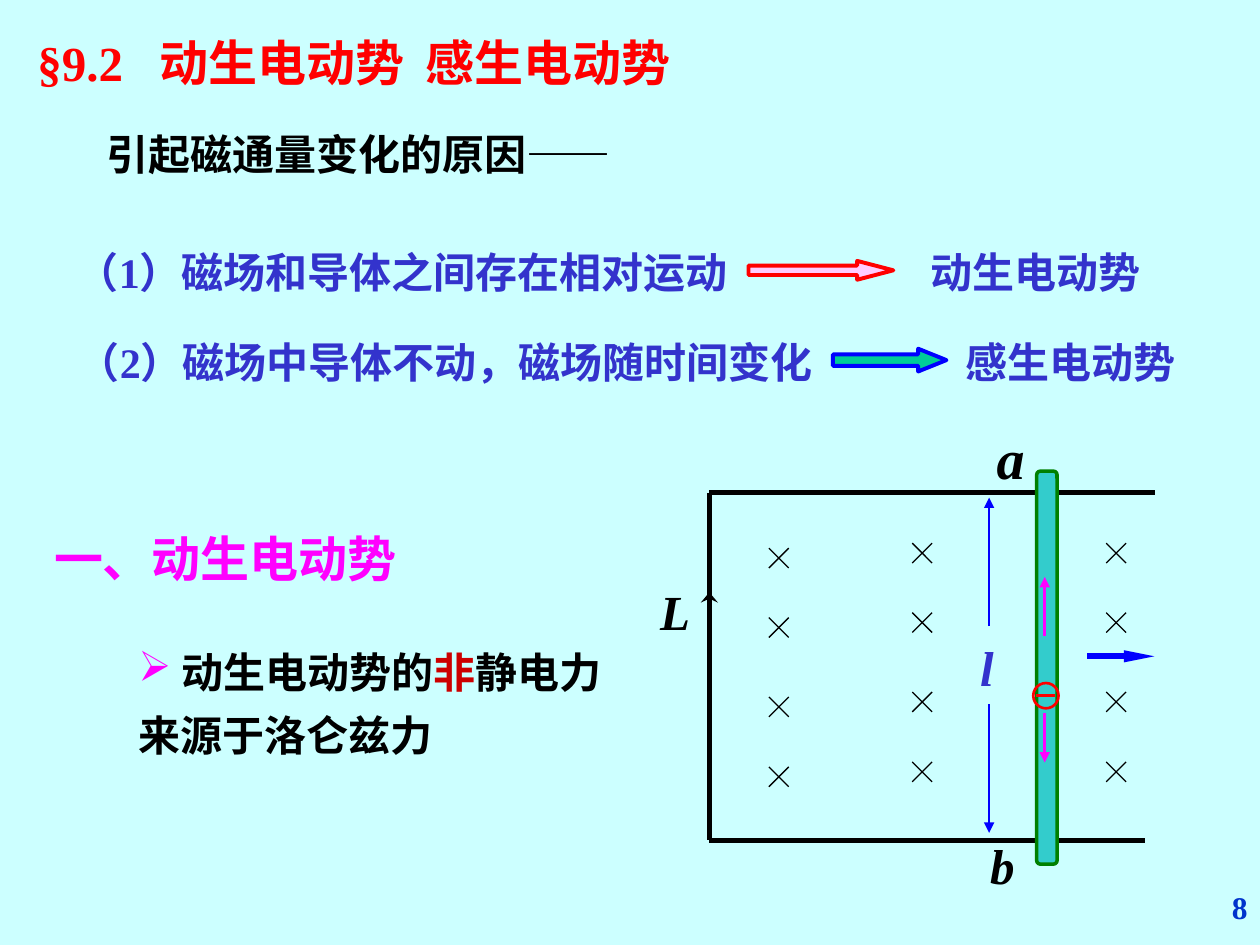
from dataclasses import dataclass

import pptx
import pptx.dml.color
import pptx.enum.shapes
import pptx.enum.text
import pptx.oxml
import pptx.oxml.ns
import pptx.util

Cm, Pt = pptx.util.Cm, pptx.util.Pt
Shape = pptx.enum.shapes.MSO_SHAPE
Align = pptx.enum.text.PP_ALIGN


@dataclass(frozen=True)
class Theme:
    font: str = "Times New Roman"
    dash: str = "Arial"
    back: str = "CCFFFF"
    ink: str = "000000"
    red: str = "FF0000"
    dark: str = "CC0000"
    pink: str = "FF00FF"
    pale: str = "FFCCFF"
    blue: str = "0000FF"
    text: str = "3333CC"
    page: str = "0033CC"
    mint: str = "00CC99"
    teal: str = "33CCCC"
    green: str = "008000"
    huge: int = 32
    head: int = 28
    body: int = 24
    small: int = 18


@dataclass(frozen=True)
class Box:
    """An area in centimetres."""
    x: float
    y: float
    w: float
    h: float

    def inner(self, x, y, w, h):
        return Box(self.x + x, self.y + y, w, h)

    def place(self):
        return Cm(self.x), Cm(self.y), Cm(self.w), Cm(self.h)


T = Theme()


def paint(hue):
    return pptx.dml.color.RGBColor.from_string(hue)


def node(tag, **attrs):
    item = pptx.oxml.parse_xml(f"<a:{tag} {pptx.oxml.ns.nsdecls('a')}/>")
    for key, val in attrs.items():
        item.set(key, str(val))
    return item


def add_run(para, text, size, hue, font=T.font, slant=False):
    run = para.add_run()
    run.text = text
    run.font.name, run.font.size = font, Pt(size)
    run.font.bold, run.font.italic = True, slant
    run.font.color.rgb = paint(hue)


def add_tabs(para, *stops):
    tabs = node("tabLst")
    for stop in stops:
        tabs.append(node("tab", pos=Cm(stop), algn="l"))
    para._p.get_or_add_pPr().append(tabs)


def add_text(slide, box, wrap=True, inset=True):
    """Add a text box and return its first paragraph."""
    frame = slide.shapes.add_textbox(*box.place()).text_frame
    frame.word_wrap = wrap
    if not inset:
        frame.margin_left = frame.margin_right = 0
        frame.margin_top = frame.margin_bottom = 0
    return frame.paragraphs[0]


def add_form(slide, kind, box, fill, hue, width, adjust=()):
    form = slide.shapes.add_shape(kind, *box.place())
    form.shadow.inherit = False
    for i, val in enumerate(adjust):
        form.adjustments[i] = val
    if fill:
        form.fill.solid()
        form.fill.fore_color.rgb = paint(fill)
    else:
        form.fill.background()
    form.line.color.rgb, form.line.width = paint(hue), Pt(width)


def add_line(slide, box, start, end, hue, width, tip=None, wide="med", long="med"):
    """Draw a line between two points given relative to box."""
    line = slide.shapes.add_connector(
        pptx.enum.shapes.MSO_CONNECTOR.STRAIGHT,
        Cm(box.x + start[0]), Cm(box.y + start[1]),
        Cm(box.x + end[0]), Cm(box.y + end[1]))
    line.line.color.rgb, line.line.width = paint(hue), Pt(width)
    props = line._element.spPr
    if tip:
        props.get_or_add_ln().append(node("tailEnd", type=tip, w=wide, len=long))
    props.append(node("effectLst"))


def add_title(slide, box):
    title = slide.shapes.title
    title.left, title.top, title.width, title.height = box.place()
    frame = title.text_frame
    frame.word_wrap = True
    frame.auto_size = pptx.enum.text.MSO_AUTO_SIZE.NONE
    frame.vertical_anchor = pptx.enum.text.MSO_ANCHOR.TOP
    para = frame.paragraphs[0]
    para.alignment = Align.LEFT
    add_tabs(para, 2.46, 7.82)
    add_run(para, "§9.2\t动生电动势\t感生电动势", T.head, T.red)


def add_lead(slide, box):
    para = add_text(slide, box)
    add_run(para, "引起磁通量变化的原因", T.body, T.ink)
    add_run(para, "——", T.body, T.ink, T.dash)


def add_cause(slide, box, cause, result, stop, arrow, fill, hue, point):
    """Add one cause, with an arrow to the kind of EMF that results."""
    para = add_text(slide, box)
    add_tabs(para, stop)
    add_run(para, f"{cause}\t{result}", T.body, T.text)
    add_form(slide, Shape.RIGHT_ARROW, box.inner(*arrow), fill, hue, 2.25, (0.5, point))


def add_topic(slide, box):
    para = add_text(slide, box.inner(0, 0, box.w, 1.45))
    add_run(para, "一、动生电动势", T.head, T.pink)

    para = add_text(slide, box.inner(1.7, 2.13, box.w - 1.7, 2.79))
    para.line_spacing = 1.25
    props = para._p.get_or_add_pPr()
    props.set("marL", "0")
    props.set("indent", "0")
    tint = node("buClr")
    tint.append(node("srgbClr", val=T.pink))
    props.append(tint)
    props.append(node("buChar", char="➢"))
    for text, hue in ((" 动生电动势的", T.ink), ("非", T.dark),
                      ("静电力来源于洛仑兹力", T.ink)):
        add_run(para, text, T.body, hue)


def add_field(slide, box):
    """Mark the magnetic field, which points into the page, with crosses."""
    half = 0.2
    for x, shift in ((1.4, 0), (4.29, -0.1), (8.2, -0.1)):
        for row in (1.32, 2.72, 4.32, 5.73):
            y = row + shift
            for rise in (half, -half):
                add_line(slide, box, (x - half, y - rise), (x + half, y + rise),
                         T.ink, 0.75)


def add_loop(slide, box):
    """Draw the rod ab sliding on the rails of loop L."""
    for text, size, area in (("a", T.huge, (5.79, -1.4, 0.56, 1.35)),
                             ("L", T.head, (-0.99, 1.8, 0.61, 1.19)),
                             ("b", T.head, (5.66, 6.91, 0.48, 1.19))):
        para = add_text(slide, box.inner(*area), wrap=False, inset=False)
        add_run(para, text, size, T.ink, slant=True)

    for start, end in (((0, 0), (box.w, 0)), ((0, 0), (0, box.h)),
                       ((0, box.h), (box.w - 0.2, box.h))):
        add_line(slide, box, start, end, T.ink, 3)
    add_field(slide, box)
    add_form(slide, Shape.ROUNDED_RECTANGLE, box.inner(6.6, -0.43, 0.41, 7.92),
             T.teal, T.green, 2, (0.167,))

    add_line(slide, box, (0, 3.81), (0, 2.01), T.ink, 0.75, "stealth", "lg", "med")
    add_line(slide, box, (7.62, 3.3), (8.97, 3.3), T.blue, 3.5, "triangle", "sm", "lg")
    add_run(add_text(slide, box.inner(5.21, 2.79, 0.99, 1.45)), "l", T.head, T.text,
            slant=True)
    for x, y, tip, hue, width in ((5.64, 2.69, 0.1, T.blue, 1.25),
                                  (5.64, 4.27, 6.86, T.blue, 1.25),
                                  (6.76, 2.9, 1.7, T.pink, 2),
                                  (6.76, 4.45, 5.44, T.pink, 1.5)):
        add_line(slide, box, (x, y), (x, tip), hue, width, "triangle")

    add_form(slide, Shape.OVAL, box.inner(6.53, 3.84, 0.51, 0.51), None, T.red, 1.5)
    add_line(slide, box, (6.58, 4.09), (6.96, 4.09), T.red, 2)


def add_page(slide, box):
    para = add_text(slide, box)
    para.alignment = Align.RIGHT
    add_run(para, "8", T.small, T.page)


def main():
    deck = pptx.Presentation()
    deck.slide_width, deck.slide_height = Cm(25.4), Cm(19.05)
    slide = deck.slides.add_slide(deck.slide_layouts[5])
    slide.background.fill.solid()
    slide.background.fill.fore_color.rgb = paint(T.back)

    add_title(slide, Box(0.5, 0.53, 13.6, 1.45))
    add_lead(slide, Box(1.9, 2.46, 11.6, 1.27))
    add_cause(slide, Box(1.3, 4.85, 22.43, 1.27), "（1）磁场和导体之间存在相对运动",
              "动生电动势", 17.2, (13.79, 0.41, 2.92, 0.38), T.pale, T.red, 1.92)
    add_cause(slide, Box(1.32, 6.65, 23.39, 1.27), "（2）磁场中导体不动，磁场随时间变化",
              "感生电动势", 17.9, (15.47, 0.38, 2.29, 0.46), T.mint, T.blue, 1.24)
    add_topic(slide, Box(0.84, 10.52, 11.86, 4.92))
    add_loop(slide, Box(14.3, 9.93, 8.99, 7.01))
    add_page(slide, Box(20.12, 17.78, 5.28, 1.27))
    deck.save("out.pptx")


if __name__ == "__main__":
    main()
